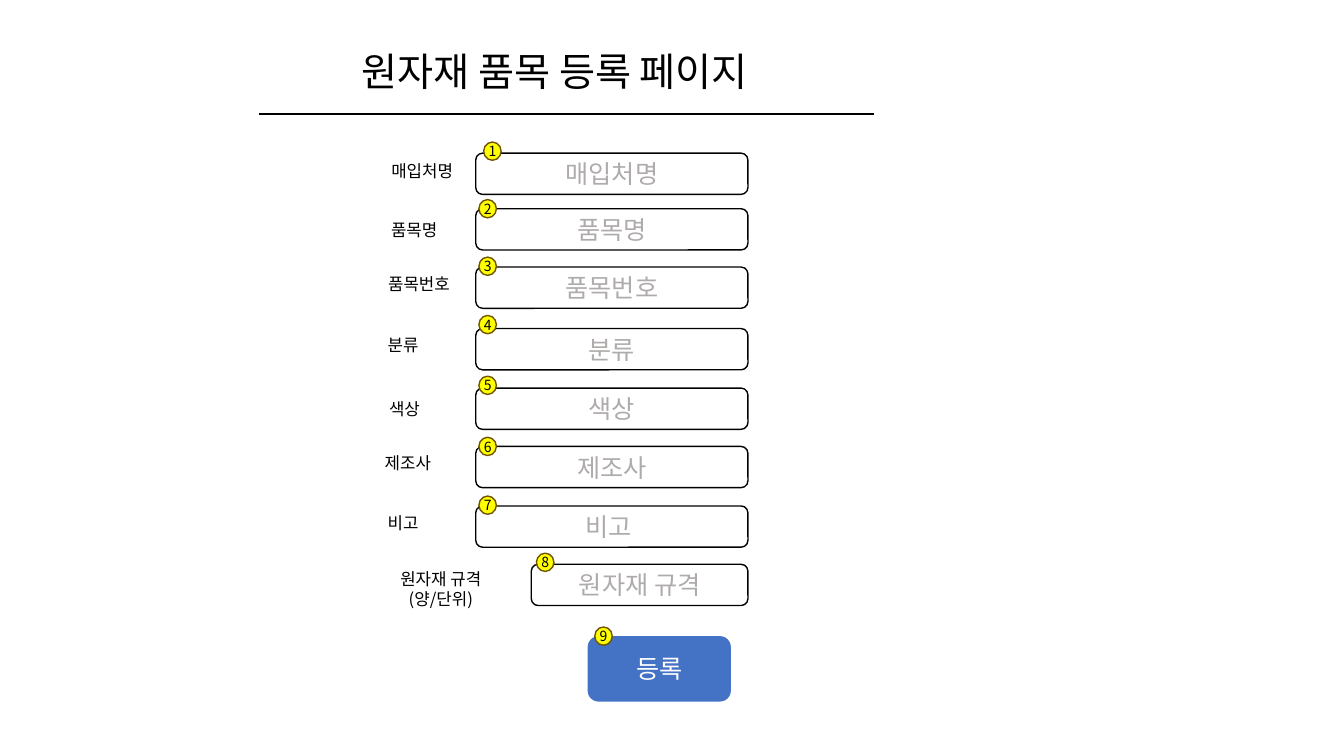
from lxml.etree import SubElement
from pptx import Presentation
from pptx.dml.color import RGBColor
from pptx.enum.shapes import MSO_CONNECTOR, MSO_SHAPE
from pptx.enum.text import MSO_ANCHOR, PP_ALIGN
from pptx.oxml.ns import qn
from pptx.util import Cm, Pt

FONT = "Noto Sans CJK KR"
FIELD = {"size": 18, "color": "AFABAB", "fill": "FFFFFF", "line": "000000"}
LABEL = {"size": 12, "color": "000000", "fill": None, "line": None}
BADGE = {"size": 10, "color": "000000", "fill": "FFFF00", "line": "705400"}
BUTTON = {"size": 18, "color": "FFFFFF", "fill": "4472C4", "line": None}

ROWS = [
    ("매입처명", "매입처명", 3.86, (9.22, -0.08, 2.84), (0.2, -0.28)),
    ("품목명", "품목명", 5.26, (9.22, 0, 2.44), (0.08, -0.23)),
    ("품목번호", "품목번호", 6.73, (9.14, -0.1, 2.84), (0.08, -0.25)),
    ("분류", "분류", 8.28, (8.74, -0.1, 2.84), (0.08, -0.33)),
    ("색상", "색상", 9.78, (9.09, 0, 2.21), (0.08, -0.3)),
    ("제조사", "제조사", 11.25, (8.86, -0.1, 2.84), (0.08, -0.23)),
    ("비고 ", "비고", 12.75, (8.74, -0.1, 2.84), (0.08, -0.25)),
    ("원자재 규격", "원자재 규격\v(양/단위)", 14.22, (8.86, 0.1, 4.5), (0.13, -0.28)),
]


def paint(color, value):
    color.rgb = RGBColor.from_string(value)


def write(frame, text, size, color):
    para = frame.paragraphs[0]
    para.text = text
    for run in para.runs:
        for key, value in {"name": FONT, "size": Pt(size)}.items():
            setattr(run.font, key, value)
        paint(run.font.color, color)
        SubElement(run.font._element, qn("a:ea"), typeface=FONT)
    return para


def block(slide, kind, box, text, style):
    shape = slide.shapes.add_shape(kind, *map(Cm, box))
    shape.shadow.inherit = False
    if style["fill"]:
        shape.fill.solid()
        paint(shape.fill.fore_color, style["fill"])
    else:
        shape.fill.background()
    if style["line"]:
        paint(shape.line.color, style["line"])
        shape.line.width = Pt(1)
    else:
        shape.line.fill.background()
    frame = shape.text_frame
    for key, value in {"margin_left": 0, "margin_right": 0, "margin_top": 0,
                       "margin_bottom": 0, "word_wrap": True,
                       "vertical_anchor": MSO_ANCHOR.MIDDLE}.items():
        setattr(frame, key, value)
    write(frame, text, style["size"], style["color"]).alignment = PP_ALIGN.CENTER


def badge(slide, number, left, top):
    block(slide, MSO_SHAPE.FLOWCHART_CONNECTOR, (left, top, 0.44, 0.46), str(number), BADGE)


def header(slide, left, top, width):
    title = slide.shapes.add_textbox(Cm(left + 2.33), Cm(top), Cm(19.3), Cm(1.45))
    title.text_frame.word_wrap = True
    write(title.text_frame, "원자재 품목 등록 페이지", 28, "000000")
    base = Cm(top + 1.8)
    rule = slide.shapes.add_connector(
        MSO_CONNECTOR.STRAIGHT, Cm(left), base, Cm(left + width), base)
    paint(rule.line.color, "000000")
    rule.line.width = Pt(1.5)
    SubElement(rule._element.spPr, qn("a:effectLst"))


def form(slide, left, width, high):
    for number, (hint, label, top, place, shift) in enumerate(ROWS, 1):
        inset = 1.4 if number == len(ROWS) else 0
        start = left + inset
        block(slide, MSO_SHAPE.ROUNDED_RECTANGLE, (start, top, width - inset, high), hint, FIELD)
        side, drop, span = place
        block(slide, MSO_SHAPE.ROUNDED_RECTANGLE, (side, top + drop, span, high), label, LABEL)
        badge(slide, number, start + shift[0], top + shift[1])


def button(slide, left, top, width, high):
    block(slide, MSO_SHAPE.ROUNDED_RECTANGLE, (left, top, width, high), "등록", BUTTON)
    badge(slide, len(ROWS) + 1, left + 0.18, top - 0.23)


def main():
    deck = Presentation()
    deck.slide_width, deck.slide_height = Cm(33.87), Cm(19.05)
    slide = deck.slides.add_slide(deck.slide_layouts[6])
    header(slide, 6.53, 1.07, 15.49)
    form(slide, 11.99, 6.86, 1.04)
    button(slide, 14.81, 16.03, 3.61, 1.65)
    deck.save("out.pptx")


if __name__ == "__main__":
    main()
